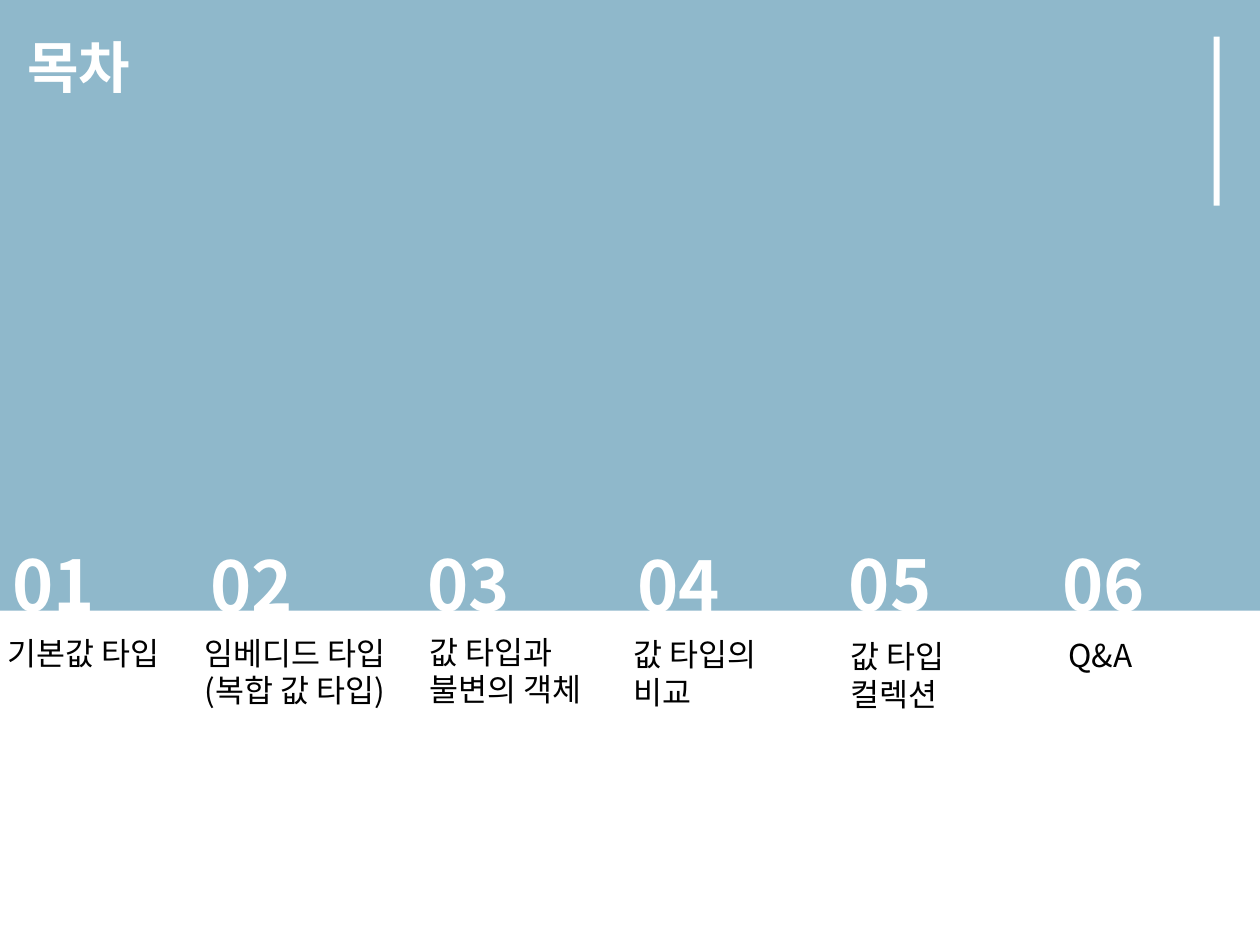
from dataclasses import dataclass

from pptx import Presentation
from pptx import util as u
from pptx.dml.color import RGBColor
from pptx.enum import shapes, text
from pptx.oxml import ns, xmlchemy as x


@dataclass(frozen=True)
class Theme:
    """Colours, font and type sizes of the slide."""
    blue: str = "8FB8CB"
    white: str = "FFFFFF"
    black: str = "000000"
    font: str = "Noto Sans CJK KR"
    title: int = 32
    number: int = 40
    label: int = 18


THEME = Theme()
SECTIONS = [
    (0, 306, -3, 358.5, ["기본값 타입"]),
    (113, 306.5, 110, 358.5, ["임베디드 타입", "(복합 값 타입)"]),
    (237, 306, 238.5, 358, ["값 타입과", "불변의 객체"]),
    (357, 306.5, 355, 359.5, ["값 타입의", "비교"]),
    (478, 306, 479, 360.5, ["값 타입", "컬렉션"]),
    (600, 306, 603.5, 360, ["Q&A"]),
]


def add_block(s, left, top, width, height, color):
    """Draw a plain filled rectangle."""
    sp = s.shapes.add_shape(shapes.MSO_SHAPE.RECTANGLE, u.Pt(left), u.Pt(top),
                            u.Pt(width), u.Pt(height))
    sp.shadow.inherit = False
    sp.fill.solid()
    sp.fill.fore_color.rgb = RGBColor.from_string(color)
    sp.line.fill.background()


def add_text(s, left, top, width, height, lines, size, color, bold=False):
    """Add a text box with one paragraph per line."""
    sp = s.shapes.add_textbox(u.Pt(left), u.Pt(top), u.Pt(width), u.Pt(height))
    tf = sp.text_frame
    tf.word_wrap = True
    tf.auto_size = text.MSO_AUTO_SIZE.SHAPE_TO_FIT_TEXT
    for i, line in enumerate(lines):
        p = tf.add_paragraph() if i else tf.paragraphs[0]
        r = p.add_run()
        r.text = line
        r.font.name = THEME.font
        r.font.size = u.Pt(size)
        r.font.bold = bold
        r.font.color.rgb = RGBColor.from_string(color)
        ea = x.OxmlElement("a:ea")
        ea.set("typeface", THEME.font)
        r.font._element.find(ns.qn("a:latin")).addnext(ea)


def add_section(s, number, x_number, y_number, x_label, y_label, lines):
    """Add a section number with its label below."""
    add_text(s, x_number, y_number, 82, 55.5, [f"{number:02}"],
             THEME.number, THEME.white, True)
    add_text(s, x_label, y_label, 136, 7 + 22 * len(lines), lines,
             THEME.label, THEME.black)


def main():
    """Build the contents slide and save it."""
    prs = Presentation()
    prs.slide_width, prs.slide_height = u.Pt(720), u.Pt(540)
    s = prs.slides.add_slide(prs.slide_layouts[6])
    add_block(s, 0, 0, 720, 349, THEME.blue)
    add_text(s, 8.5, 15, 82, 46, ["목차"], THEME.title, THEME.white, True)
    for number, section in enumerate(SECTIONS, 1):
        add_section(s, number, *section)
    add_block(s, 693.5, 21, 3.5, 96.5, THEME.white)
    prs.save("out.pptx")


if __name__ == "__main__":
    main()
